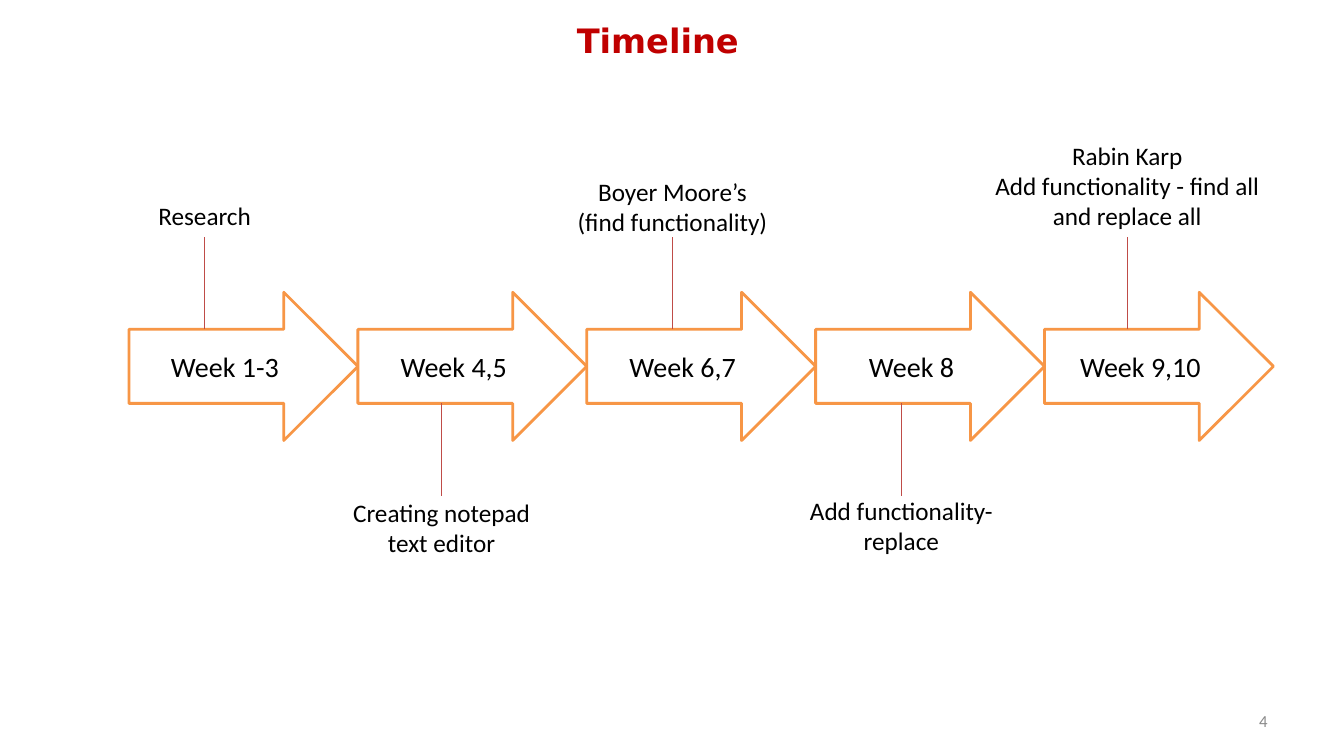
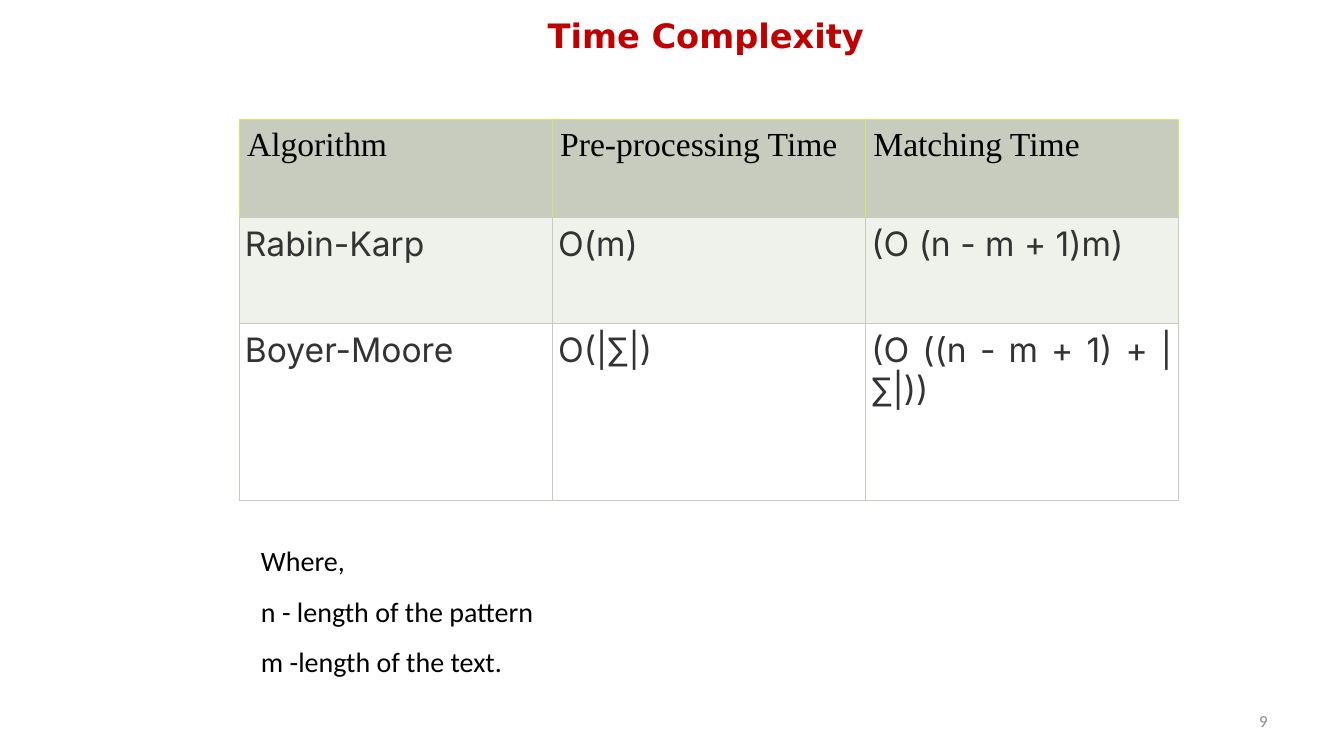
from lxml import etree
from pptx import Presentation
from pptx.dml.color import RGBColor
from pptx.enum.shapes import MSO_CONNECTOR, MSO_SHAPE
from pptx.enum.text import MSO_ANCHOR, PP_ALIGN
from pptx.oxml.ns import qn
from pptx.util import Inches, Pt

LEFT, CENTER, RIGHT, JUSTIFY = PP_ALIGN.LEFT, PP_ALIGN.CENTER, PP_ALIGN.RIGHT, PP_ALIGN.JUSTIFY
TOP, MIDDLE = MSO_ANCHOR.TOP, MSO_ANCHOR.MIDDLE
STRAIGHT, RIGHT_ARROW = MSO_CONNECTOR.STRAIGHT, MSO_SHAPE.RIGHT_ARROW

BODY_FONT = "Calibri"
BLACK, WHITE, TITLE_RED, PAGE_GREY = "000000", "FFFFFF", "C00000", "898989"
ARROW_ORANGE, STEM_RED = "F79646", "BF4C48"
SAGE, PALE_SAGE, LIME, CHARCOAL = "C7CCBE", "EFF1EB", "D0E865", "333333"


def rgb(value):
    return RGBColor.from_string(value)


def write(frame, text, size, color=BLACK, font=BODY_FONT, align=CENTER, anchor=TOP, bold=False):
    frame.word_wrap = True
    frame.vertical_anchor = anchor
    frame.text = text
    for paragraph in frame.paragraphs:
        paragraph.alignment = align
        for run in paragraph.runs:
            run.font.size = Pt(size)
            run.font.name = font
            run.font.bold = bold
            run.font.color.rgb = rgb(color)


deck = Presentation()
deck.slide_width, deck.slide_height = Inches(13.33), Inches(7.5)

slides = []
for title, number, left, top, width in [
    ("Timeline", "4", 1.94, 0.15, 9.17),
    ("Time Complexity", "9", 2.59, 0.1, 8.82),
]:
    slide = deck.slides.add_slide(deck.slide_layouts[6])
    heading = slide.shapes.add_textbox(Inches(left), Inches(top), Inches(width), Inches(0.5))
    write(heading.text_frame, title, 24, TITLE_RED, "DejaVu Sans", bold=True)
    page = slide.shapes.add_textbox(Inches(9.56), Inches(6.95), Inches(3.11), Inches(0.4))
    write(page.text_frame, number, 12, PAGE_GREY, align=RIGHT, anchor=MIDDLE)
    slides.append(slide)
timeline, complexity = slides

FIRST_WEEK, WEEK_WIDTH = 1.28, 2.27
ARROW_TOP, ARROW_HEIGHT = 2.9, 1.47
STEM_LENGTH = 0.92
SHAFT_TOP = ARROW_TOP + ARROW_HEIGHT / 4
SHAFT_BOTTOM = ARROW_TOP + ARROW_HEIGHT * 3 / 4

milestones = [
    ("Week 1-3", "Research", 2.03, 1.94, 1.91),
    ("Week 4,5", "Creating notepad text editor", 4.38, 4.88, 2.17),
    ("Week 6,7", "Boyer Moore’s\n(find functionality)", 6.67, 1.7, 2.27),
    ("Week 8", "Add functionality- replace", 8.94, 4.86, 2.27),
    ("Week 9,10", "Rabin Karp\nAdd functionality - find all and replace all", 11.18, 1.34, 2.92),
]

for column, (week, *_) in enumerate(milestones):
    arrow = timeline.shapes.add_shape(
        RIGHT_ARROW, Inches(FIRST_WEEK + column * WEEK_WIDTH), Inches(ARROW_TOP),
        Inches(WEEK_WIDTH), Inches(ARROW_HEIGHT))
    arrow.shadow.inherit = False
    arrow.fill.solid()
    arrow.fill.fore_color.rgb = rgb(WHITE)
    arrow.line.color.rgb = rgb(ARROW_ORANGE)
    arrow.line.width = Pt(2)
    write(arrow.text_frame, week, 20, anchor=MIDDLE)

for column, (_, task, center, label_top, label_width) in enumerate(milestones):
    above = column % 2 == 0
    start = SHAFT_TOP if above else SHAFT_BOTTOM
    end = start - STEM_LENGTH if above else start + STEM_LENGTH
    stem = timeline.shapes.add_connector(
        STRAIGHT, Inches(center), Inches(start), Inches(center), Inches(end))
    stem.line.color.rgb = rgb(STEM_RED)
    stem.line.width = Pt(0.75)
    etree.SubElement(stem._element.spPr, qn("a:effectLst"))
    label = timeline.shapes.add_textbox(
        Inches(center - label_width / 2), Inches(label_top), Inches(label_width), Inches(0.71))
    write(label.text_frame, task, 18)

complexities = [
    ("Algorithm", "Pre-processing Time", "Matching Time"),
    ("Rabin-Karp", "O(m)", "(O (n - m + 1)m)"),
    ("Boyer-Moore", "O(|∑|)", "(O ((n - m + 1) + |∑|))"),
]
row_heights = [0.98, 1.05, 1.75]
row_fills = [SAGE, PALE_SAGE, WHITE]
TABLE_LEFT, TABLE_WIDTH = 2.37, 9.32

table = complexity.shapes.add_table(
    3, 3, Inches(TABLE_LEFT), Inches(1.18), Inches(TABLE_WIDTH), Inches(sum(row_heights))).table
table.first_row = table.horz_banding = False

for row, texts in enumerate(complexities):
    table.rows[row].height = Inches(row_heights[row])
    header = row == 0
    for column, text in enumerate(texts):
        cell = table.cell(row, column)
        cell.margin_left = cell.margin_right = Inches(0.08 if header else 0.06)
        cell.margin_top = cell.margin_bottom = Inches(0.08 if header else 0.06)
        for side in ("lnL", "lnR", "lnT", "lnB"):
            border = etree.SubElement(cell._tc.get_or_add_tcPr(), qn(f"a:{side}"), w=str(Pt(0.5)))
            paint = etree.SubElement(border, qn("a:solidFill"))
            color = LIME if header and side != "lnB" else SAGE
            etree.SubElement(paint, qn("a:srgbClr"), val=color)
        cell.fill.solid()
        cell.fill.fore_color.rgb = rgb(row_fills[row])
        if header:
            write(cell.text_frame, text, 24, font="Times New Roman", align=LEFT)
        else:
            write(cell.text_frame, text, 24, CHARCOAL, "Inter", JUSTIFY)

legend = complexity.shapes.add_textbox(
    Inches(TABLE_LEFT), Inches(5.18), Inches(6.67), Inches(1.56)).text_frame
write(legend, "Where,\nn - length of the pattern\nm -length of the text.", 20, align=LEFT)
for paragraph in legend.paragraphs:
    paragraph.line_spacing = 1.5
    paragraph._p.get_or_add_pPr().set("marL", str(Inches(0.12)))

deck.save("out.pptx")
